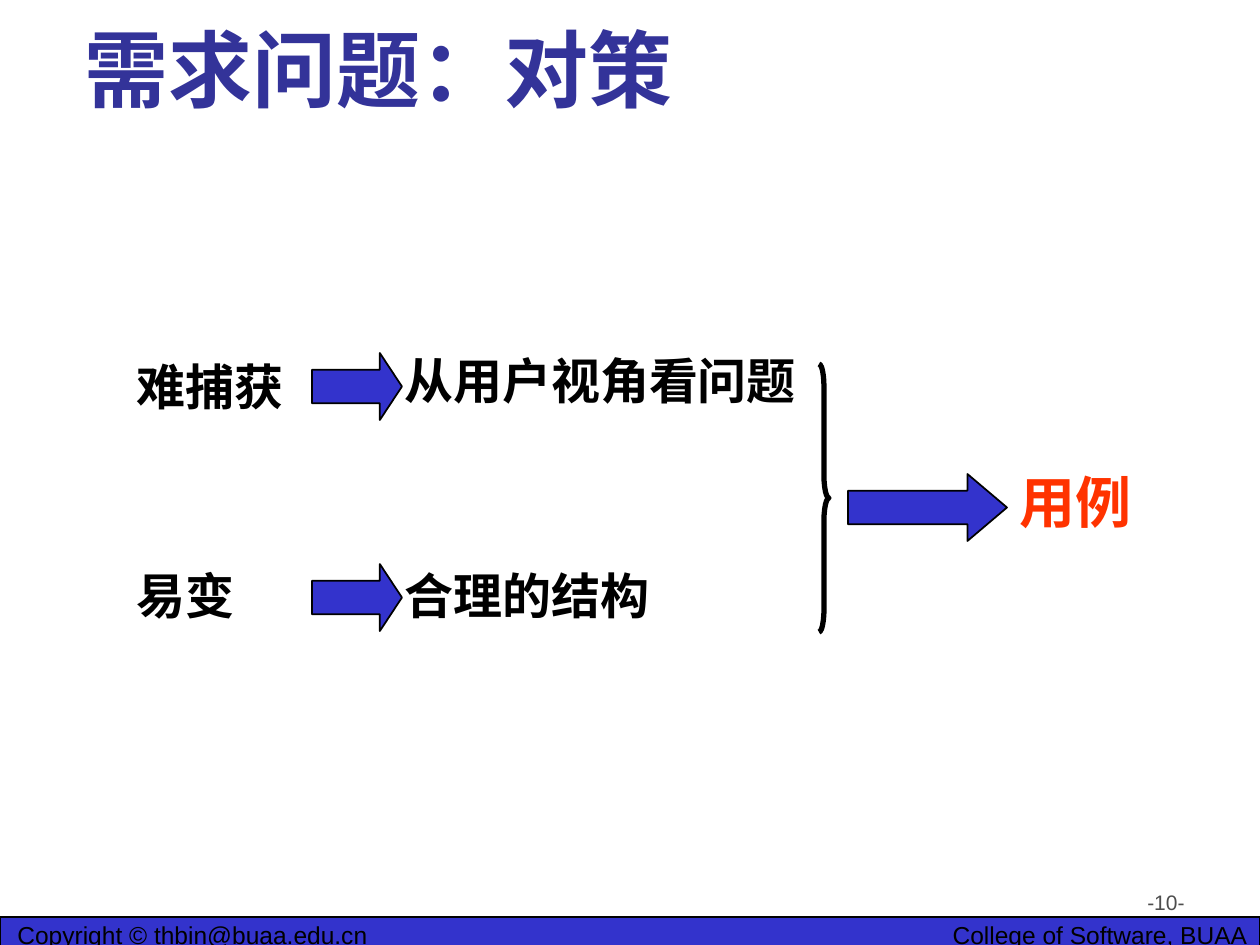
"""Build the slide on answers to requirements problems."""
from pptx import Presentation
from pptx import util as u
from pptx.dml.color import RGBColor
from pptx.enum import shapes, text

BLUE, BLACK = "3333CC", "000000"


def color(value):
    """Turn a hex string into a colour."""
    return RGBColor.from_string(value)


class Board:
    """Hold the style and the current slide."""

    scale = u.Inches(1) / 126

    def __init__(self, presentation):
        """Add a blank slide."""
        self.slide = presentation.slides.add_slide(presentation.slide_layouts[6])

    def box(self, values):
        """Convert px lengths to EMU."""
        return [u.Emu(round(value * self.scale)) for value in values]

    def label(self, place, words, size, ink=BLACK, bold=False, font="Arial",
              align=text.PP_ALIGN.LEFT, anchor=text.MSO_ANCHOR.TOP):
        """Add one line of text."""
        frame = self.slide.shapes.add_textbox(*self.box(place)).text_frame
        frame.word_wrap = True
        frame.vertical_anchor = anchor
        paragraph = frame.paragraphs[0]
        paragraph.alignment = align
        run = paragraph.add_run()
        run.text = words
        run.font.name = font
        run.font.size = u.Pt(size)
        run.font.bold = bold
        run.font.color.rgb = color(ink)

    def figure(self, kind, place, width, fill=None, adjustments=()):
        """Add a preset shape with a black outline."""
        shape = self.slide.shapes.add_shape(kind, *self.box(place))
        shape.shadow.inherit = False
        for index, value in enumerate(adjustments):
            shape.adjustments[index] = value
        if fill:
            shape.fill.solid()
            shape.fill.fore_color.rgb = color(fill)
        else:
            shape.fill.background()
        shape.line.color.rgb = color(BLACK)
        shape.line.width = u.Pt(width)

    def arrow(self, place, head):
        """Add a block arrow pointing right."""
        self.figure(shapes.MSO_SHAPE.RIGHT_ARROW, place, 1, BLUE, (0.5, head))


def main():
    """Draw the slide and save it."""
    presentation = Presentation()
    presentation.slide_width = u.Inches(10)
    presentation.slide_height = u.Inches(7.5)
    board = Board(presentation)
    right = text.PP_ALIGN.RIGHT

    board.figure(shapes.MSO_SHAPE.RECTANGLE, (0, 917, 1260, 32), 0.75, BLUE)
    board.label((5, 914, 441, 42), "Copyright © thbin@buaa.edu.cn", 14)
    board.label((819, 914, 441, 42), "College of Software, BUAA", 14, align=right)
    board.label((903, 883, 294, 66), "-10-", 12, "4D4D4D", align=right)
    board.label((72, 35, 1094, 90), "需求问题：对策", 48, "333399", True, "Cabin",
                anchor=text.MSO_ANCHOR.BOTTOM)

    rows = [("难捕获", 350, "从用户视角看问题", 344, 353),
            ("易变", 559, "合理的结构", 559, 564)]
    for problem, problem_top, answer, answer_top, arrow_top in rows:
        board.label((124, problem_top, 189, 72), problem, 28, bold=True)
        board.label((392, answer_top, 450, 72), answer, 28, bold=True)
        board.arrow((312, arrow_top, 90, 67), 0.33)

    board.figure(shapes.MSO_SHAPE.RIGHT_BRACE, (819, 364, 10, 268), 3,
                 adjustments=(2.22, 0.5))
    board.arrow((848, 474, 159, 67), 0.59)
    board.label((1007, 461, 159, 79), "用例", 32, "FF3300", True)
    presentation.save("out.pptx")


if __name__ == "__main__":
    main()
